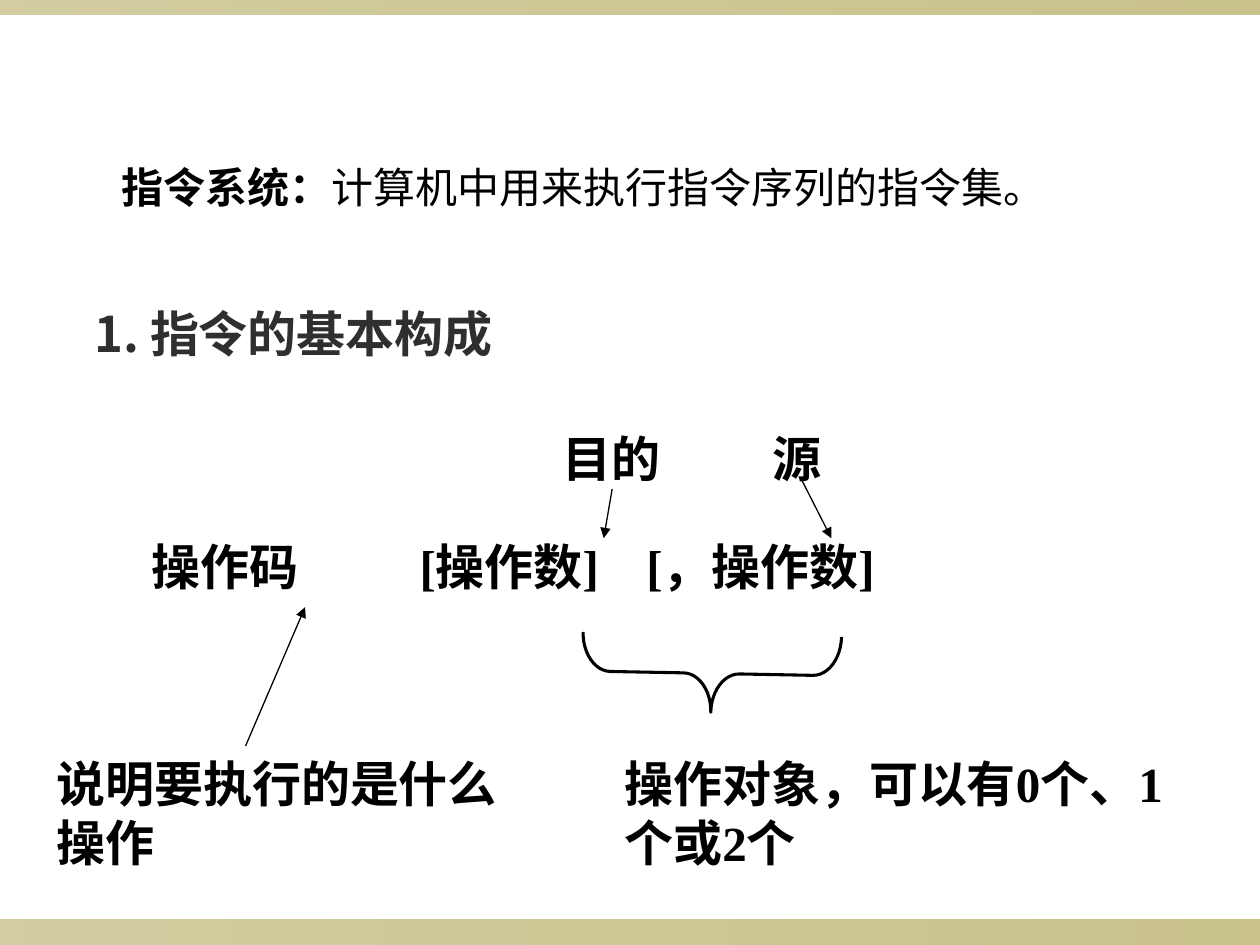
from dataclasses import dataclass

from lxml.etree import SubElement
from pptx import Presentation
from pptx.dml.color import RGBColor
from pptx.enum.shapes import MSO_CONNECTOR, MSO_SHAPE
from pptx.enum.text import MSO_ANCHOR, MSO_AUTO_SIZE
from pptx.oxml.ns import qn
from pptx.util import Cm, Pt


@dataclass(frozen=True)
class Theme:
    ink: RGBColor = RGBColor(0, 0, 0)
    heading: RGBColor = RGBColor(0x2F, 0x2F, 0x2F)
    bar: RGBColor = RGBColor(0x91, 0x84, 0x15)
    bar_alphas: tuple = (40, 50)
    latin: str = "Times New Roman"
    cjk: str = "Noto Sans CJK SC"
    large: int = 28
    body: int = 24
    thin: float = 0.75
    thick: float = 1.75


THEME = Theme()
PAGE = (25.4, 19.05)
INSET = (0.25, 0.13)


def add_run(p, text, **formats):
    r = p.add_run()
    r.text = text
    style = {"name": THEME.latin, "size": Pt(THEME.large), "bold": True} | formats
    color = style.pop("color", THEME.ink)
    for name, value in style.items():
        setattr(r.font, name, value)
    r.font.color.rgb = color
    SubElement(r.font._element, qn("a:ea"), typeface=THEME.cjk)


def add_text(s, box, inset=INSET, wrap=True, grow=True):
    """Add an empty text box and return its first paragraph."""
    tf = s.shapes.add_textbox(*map(Cm, box)).text_frame
    dx, dy = map(Cm, inset)
    formats = {
        "margin_left": dx, "margin_right": dx,
        "margin_top": dy, "margin_bottom": dy,
        "word_wrap": wrap, "vertical_anchor": MSO_ANCHOR.TOP,
        "auto_size": MSO_AUTO_SIZE.SHAPE_TO_FIT_TEXT if grow else MSO_AUTO_SIZE.NONE,
    }
    for name, value in formats.items():
        setattr(tf, name, value)
    return tf.paragraphs[0]


def add_tabs(p, stops):
    tabs = SubElement(p._p.get_or_add_pPr(), qn("a:tabLst"))
    for stop in stops:
        SubElement(tabs, qn("a:tab"), pos=str(Cm(stop)), algn="l")


def add_arrow(s, start, end):
    line = s.shapes.add_connector(MSO_CONNECTOR.STRAIGHT, *map(Cm, (*start, *end)))
    line.line.color.rgb = THEME.ink
    line.line.width = Pt(THEME.thin)
    SubElement(line.line._get_or_add_ln(), qn("a:tailEnd"), type="triangle")
    SubElement(line._element.spPr, qn("a:effectLst"))


def add_bar(s, box):
    bar = s.shapes.add_shape(MSO_SHAPE.RECTANGLE, *map(Cm, box))
    bar.shadow.inherit = False
    bar.line.fill.background()
    bar.fill.gradient()
    bar.fill.gradient_angle = 0
    for stop in bar.fill.gradient_stops:
        stop.color.rgb = THEME.bar
    colors = bar._element.spPr.iter(qn("a:srgbClr"))
    for color, alpha in zip(colors, THEME.bar_alphas):
        SubElement(color, qn("a:alpha"), val=str(alpha * 1000))


def add_definition(s, box):
    p = add_text(s, box, wrap=False)
    add_run(p, "指令系统：", size=Pt(THEME.body))
    add_run(p, "计算机中用来执行指令序列的指令集。", size=Pt(THEME.body), bold=False)


def add_heading(s, box):
    p = add_text(s, box, grow=False)
    p.line_spacing = 1.3
    add_run(p, "1. 指令的基本构成", name=THEME.cjk, color=THEME.heading)


def add_brace(s, box):
    """Add a brace that opens upwards, tilted by about one degree."""
    brace = s.shapes.add_shape(MSO_SHAPE.LEFT_BRACE, *map(Cm, box))
    brace.shadow.inherit = False
    brace.fill.background()
    brace.line.color.rgb = THEME.ink
    brace.line.width = Pt(THEME.thick)
    brace.adjustments[0] = 0.36
    brace.rotation = 271.1


def add_diagram(s, box):
    """Draw the instruction format with its role labels and explanations."""
    x, y, w, h = box
    label_h, note_h = 1.19, 2.64

    for text, dx, width in (("目的", 10.46, 3.38), ("源", 14.68, 1.9)):
        add_run(add_text(s, (x + dx, y, width, label_h), (0, 0)), text)

    p = add_text(s, (x + 2.16, y + 2.18, 18.14, label_h), (0, 0), wrap=False)
    add_tabs(p, (5.41, 9.98))
    add_run(p, "操作码\t[操作数]\t[，操作数]")

    notes = (("说明要执行的是什么操作", 0, 9.86),
             ("操作对象，可以有0个、1个或2个", w - 12.19, 12.19))
    for text, dx, width in notes:
        add_run(add_text(s, (x + dx, y + h - note_h, width, note_h)), text)

    add_brace(s, (x + 12.67, y + 2.33, 1.57, 5.21))
    arrows = (((4.06, 6.4), (5.26, 3.6)),
              ((11.45, 1.22), (11.28, 2.21)),
              ((15.26, 1.01), (15.87, 2.21)))
    for (x1, y1), (x2, y2) in arrows:
        add_arrow(s, (x + x1, y + y1), (x + x2, y + y2))


def main():
    prs = Presentation()
    prs.slide_width, prs.slide_height = map(Cm, PAGE)
    s = prs.slides.add_slide(prs.slide_layouts[6])
    width, height = PAGE
    add_bar(s, (0, height - 0.51, width, 0.51))
    add_bar(s, (0, 0, width, 0.3))
    add_definition(s, (2.21, 3.12, 19.13, 1.27))
    add_heading(s, (1.65, 5.64, 20.96, 3.61))
    add_diagram(s, (0.89, 8.64, 23.64, 9.06))
    prs.save("out.pptx")


if __name__ == "__main__":
    main()
